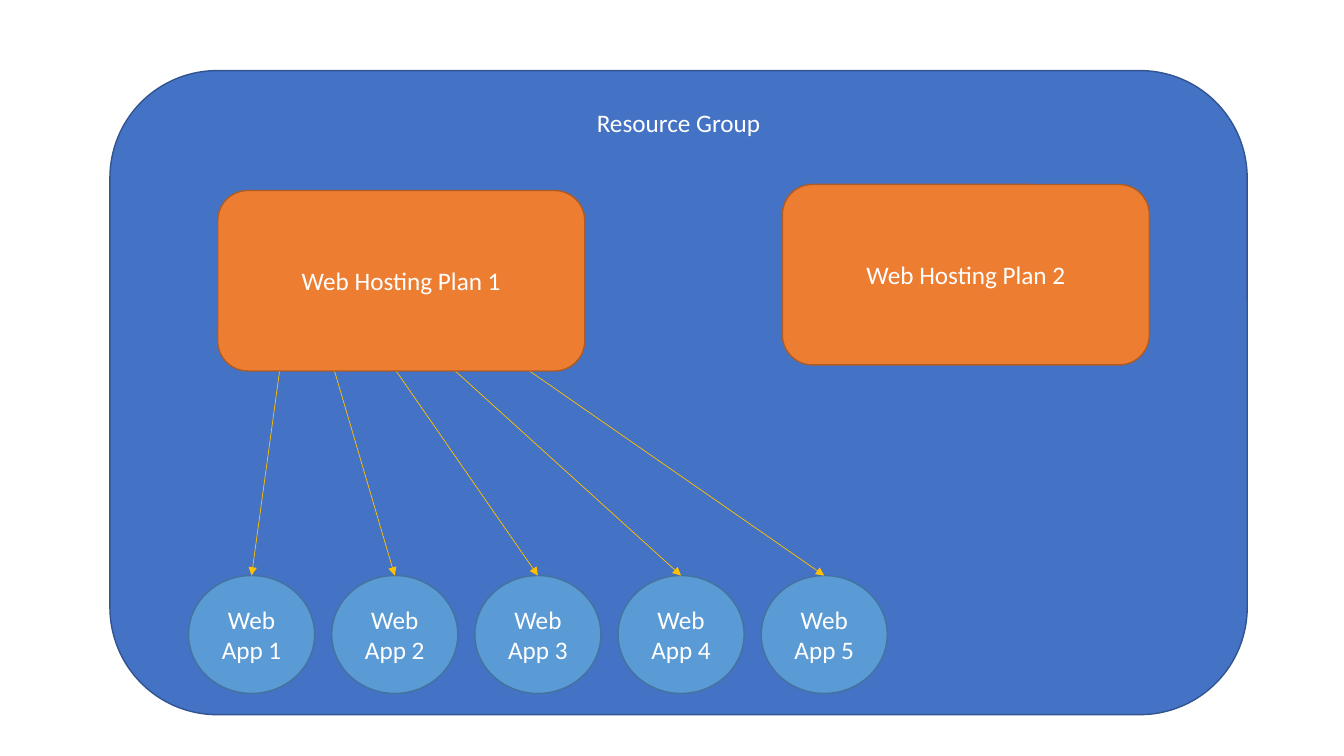
from dataclasses import dataclass

from lxml.etree import SubElement
from pptx import Presentation
from pptx.dml.color import RGBColor
from pptx.enum.shapes import MSO_CONNECTOR, MSO_SHAPE
from pptx.enum.text import MSO_ANCHOR, PP_ALIGN
from pptx.oxml.ns import qn
from pptx.util import Inches, Pt

COLORS = {
    "group": "4472C4", "group_line": "325491",
    "plan": "ED7D31", "plan_line": "AF5C24",
    "app": "5B9BD5", "app_line": "43739E",
    "arrow": "FFC000", "text": "FFFFFF",
}


@dataclass(frozen=True)
class Node:
    """A labelled shape; its style names the fill and line colours."""
    text: str
    style: str
    left: float
    top: float
    width: float
    height: float
    geometry: MSO_SHAPE = MSO_SHAPE.ROUNDED_RECTANGLE
    anchor: MSO_ANCHOR = MSO_ANCHOR.MIDDLE


def color(name: str) -> RGBColor:
    return RGBColor.from_string(COLORS[name])


def write_text(box, text: str, *, size: float = 18, font: str = "Calibri",
               color_name: str = "text", align: PP_ALIGN = PP_ALIGN.CENTER,
               anchor: MSO_ANCHOR = MSO_ANCHOR.MIDDLE) -> None:
    frame = box.text_frame
    frame.word_wrap = True
    frame.vertical_anchor = anchor
    para = frame.paragraphs[0]
    para.alignment = align
    span = para.add_run()
    span.text = text
    span.font.size = Pt(size)
    span.font.name = font
    span.font.color.rgb = color(color_name)


def draw_node(page, node: Node) -> None:
    box = page.shapes.add_shape(node.geometry, Inches(node.left), Inches(node.top),
                                Inches(node.width), Inches(node.height))
    box.shadow.inherit = False
    box.fill.solid()
    box.fill.fore_color.rgb = color(node.style)
    box.line.color.rgb = color(node.style + "_line")
    box.line.width = Pt(1)
    write_text(box, node.text, anchor=node.anchor)


def draw_arrow(page, start: tuple[float, float], end: tuple[float, float]) -> None:
    arrow = page.shapes.add_connector(MSO_CONNECTOR.STRAIGHT,
                                      *(Inches(value) for value in start + end))
    arrow.line.color.rgb = color("arrow")
    arrow.line.width = Pt(0.5)
    properties = arrow._element.spPr
    SubElement(properties.find(qn("a:ln")), qn("a:tailEnd"), type="triangle")
    SubElement(properties, qn("a:effectLst"))


deck = Presentation()
deck.slide_width, deck.slide_height = Inches(13.33), Inches(7.5)
page = deck.slides.add_slide(deck.slide_layouts[6])

# Resource group and its hosting plans
PLAN_SIZE = (3.64, 1.79)
group = Node("Resource Group", "group", 1.09, 0.7, 11.28, 6.39, anchor=MSO_ANCHOR.TOP)
plan_1 = Node("Web Hosting Plan 1", "plan", 2.16, 1.89, *PLAN_SIZE)
plan_2 = Node("Web Hosting Plan 2", "plan", 7.76, 1.83, *PLAN_SIZE)
draw_node(page, group)
draw_node(page, plan_2)

# Row of web apps
APP_LEFT, APP_TOP, APP_STEP = 1.87, 5.71, 1.42
ARROW_STARTS = [(2.81, 3.41), (3.25, 3.45), (3.7, 3.35), (4.14, 3.34), (4.56, 3.2)]
apps = [Node(f"Web App {index + 1}", "app", APP_LEFT + index * APP_STEP, APP_TOP,
             1.25, 1.17, MSO_SHAPE.OVAL)
        for index in range(len(ARROW_STARTS))]
for app in apps:
    draw_node(page, app)

# Arrows to the top of each app; plan 1 covers where they start
for start, app in zip(ARROW_STARTS, apps):
    draw_arrow(page, start, (app.left + app.width / 2, app.top))
draw_node(page, plan_1)

deck.save("out.pptx")
